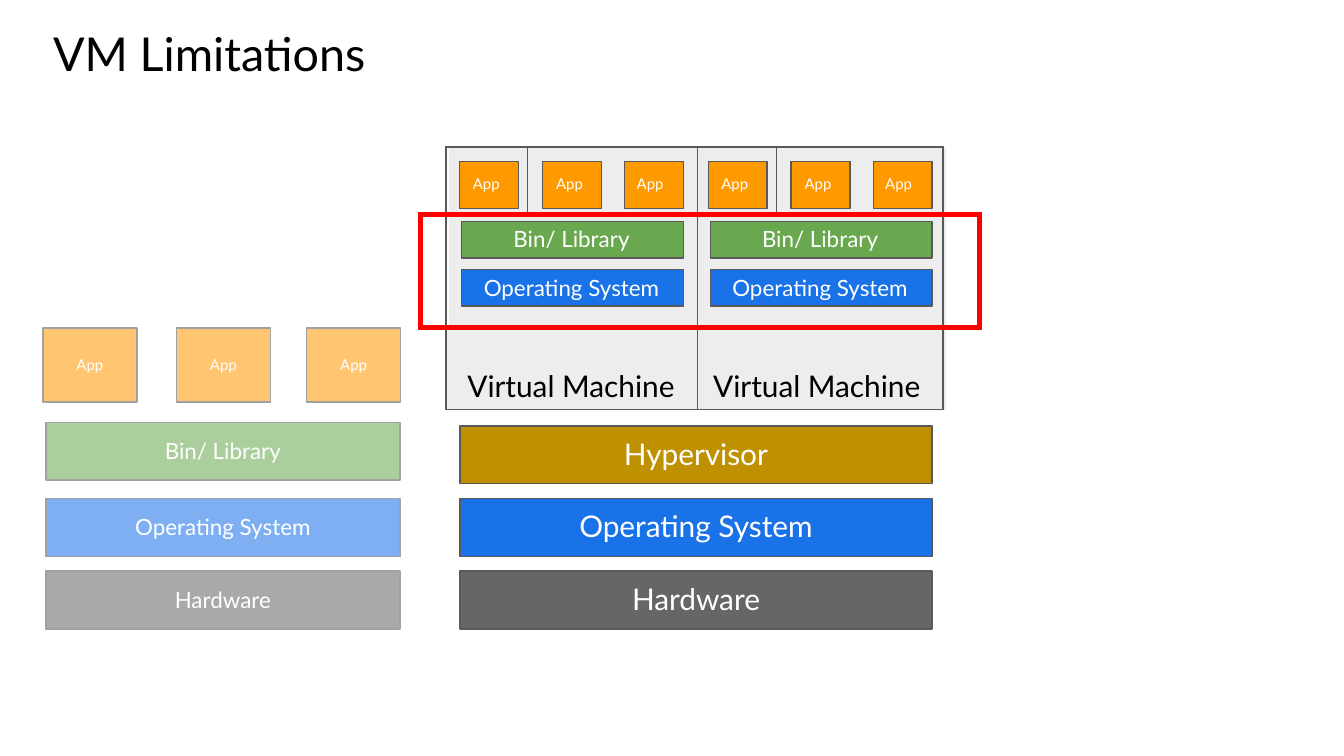
from dataclasses import dataclass
from lxml.etree import SubElement
from pptx import Presentation
from pptx.dml.color import RGBColor
from pptx.enum.shapes import MSO_SHAPE
from pptx.enum.text import MSO_ANCHOR, PP_ALIGN
from pptx.oxml.ns import qn
from pptx.util import Pt


@dataclass(frozen=True)
class Theme:
    font: str = "Lato"
    white: str = "FFFFFF"
    black: str = "000000"
    orange: str = "FF9900"
    green: str = "69A84F"
    blue: str = "1A72E8"
    gray: str = "666666"
    gold: str = "BF9000"
    pale: str = "EDEDED"
    edge: str = "595959"
    red: str = "FF0000"
    title: int = 25
    large: int = 16
    body: int = 12
    small: int = 8
    thin: float = 0.75
    thick: float = 3


T = Theme()

# Content
TITLE = "VM Limitations"
APP, LIB, OS, VM = "App", "Bin/ Library", "Operating System", "Virtual Machine"
HOST = [(LIB, T.green, 226.3), (OS, T.blue, 267.1), ("Hardware", T.gray, 306)]
BASE = [("Hypervisor", T.gold, 228.2), (OS, T.blue, 267.1), ("Hardware", T.gray, 306)]
APPS = [23, 94.5, 164.3]  # left edges of the host apps
TILES = [246.2, 290.6, 334.7]  # left edges of the apps in the first VM
STEP = 133.2  # from one VM to the next

# Table grid
COLS = [13.7, 43.9, 43.9, 46.8, 42.5, 43.9, 45.4, 19.4]
ROWS = [36, 60.5, 44]
INDENT = [14.4, 15.1, 14.4, 13, 15.1, 14.4]
STARTS = {1: 11.5, 4: 8.6}  # first column of each VM, indent of its name


def color(code):
    return RGBColor.from_string(code)


def write(frame, lines, size, ink=T.white, align=PP_ALIGN.CENTER, gap=0):
    for i, line in enumerate(lines):
        para = frame.paragraphs[0] if i == 0 else frame.add_paragraph()
        para.alignment = align
        para.space_before = Pt(gap if i else 0)
        run = para.add_run()
        run.text = line
        run.font.name, run.font.size = T.font, Pt(size)
        run.font.color.rgb = color(ink)


def pad(item, left=0, top=0):
    item.margin_left, item.margin_top = Pt(left), Pt(top)
    item.margin_right = item.margin_bottom = 0


def box(slide, x, y, w, h, fill, text="", size=T.body, top=0, edge=True):
    shape = slide.shapes.add_shape(MSO_SHAPE.RECTANGLE, Pt(x), Pt(y), Pt(w), Pt(h))
    shape.shadow.inherit = False
    shape.fill.solid()
    shape.fill.fore_color.rgb = color(fill)
    if edge:
        shape.line.color.rgb = color(T.edge)
        shape.line.width = Pt(T.thin)
    else:
        shape.line.fill.background()
    if text:
        frame = shape.text_frame
        frame.word_wrap = True
        frame.vertical_anchor = MSO_ANCHOR.TOP
        pad(frame, top=top)
        write(frame, [text], size)
    return shape


def upright(row, col):
    """Line on the vertical grid line before column col."""
    if row == 1 and col in (0, 8):
        return T.red, T.thick
    if col in (1, 4, 7) or (row == 0 and col in (2, 5)):
        return T.edge, T.thin
    return None


def level(row, col):
    """Line on the horizontal grid line above the given row."""
    if row in (1, 2):
        return T.red, T.thick
    return (T.edge, T.thin) if 1 <= col <= 6 else None


def border(cell, side, look):
    props = cell._tc.get_or_add_tcPr()
    line = SubElement(props, qn("a:ln" + side))
    if look:
        line.set("w", str(Pt(look[1])))
        fill = SubElement(line, qn("a:solidFill"))
        SubElement(fill, qn("a:srgbClr")).set("val", look[0])
    else:
        SubElement(line, qn("a:noFill"))


def fill_cell(cell, row, col):
    pad(cell)
    start = col in STARTS
    if row == 0 and 1 <= col <= 6:
        pad(cell, INDENT[col - 1], 15)
        write(cell.text_frame, [APP], T.small, align=PP_ALIGN.LEFT)
    elif row == 1 and start:
        pad(cell, top=6)
        write(cell.text_frame, [LIB, OS], T.body, gap=11.6)
    elif row == 2 and start:
        pad(cell, STARTS[col], 22)
        write(cell.text_frame, [VM], T.large, T.black, PP_ALIGN.LEFT)
    end = col + (3 if row and start else 1)
    border(cell, "L", upright(row, col))
    border(cell, "R", upright(row, end))
    border(cell, "T", level(row, col))
    border(cell, "B", level(row + 1, col))
    if row == 2 and start:
        cell.fill.solid()
        cell.fill.fore_color.rgb = color(T.pale)
    else:
        cell.fill.background()


def add_grid(slide):
    grid = slide.shapes.add_table(len(ROWS), len(COLS), Pt(225.2), Pt(78.8),
                                  Pt(sum(COLS)), Pt(sum(ROWS))).table
    grid.first_row = grid.horz_banding = False
    for i, w in enumerate(COLS):
        grid.columns[i].width = Pt(w)
    for i, h in enumerate(ROWS):
        grid.rows[i].height = Pt(h)
    for row in (1, 2):
        for col in STARTS:
            grid.cell(row, col).merge(grid.cell(row, col + 2))
    for row in range(len(ROWS)):
        for col in range(len(COLS)):
            fill_cell(grid.cell(row, col), row, col)


def main():
    deck = Presentation()
    deck.slide_width, deck.slide_height = Pt(720), Pt(405)
    slide = deck.slides.add_slide(deck.slide_layouts[5])

    # Title
    title = slide.shapes.title
    title.left, title.top, title.width, title.height = Pt(27.4), Pt(12.2), Pt(190), Pt(32.4)
    frame = title.text_frame
    frame.word_wrap = True
    frame.vertical_anchor = MSO_ANCHOR.TOP
    pad(frame, 1, 1.2)
    write(frame, [TITLE], T.title, T.black, PP_ALIGN.LEFT)

    # Virtual machines
    box(slide, 240.5, 79.2, 266.4, 140.4, T.pale, edge=False)
    for shift in (0, STEP):
        for x in TILES:
            box(slide, x + shift, 86.6, 31.5, 25.2, T.orange)
        for fill, y in ((T.green, 118.8), (T.blue, 144.5)):
            box(slide, 247.3 + shift, y, 118.8, 19.5, fill)

    # Plain host, faded by a white veil
    for text, fill, y in HOST:
        box(slide, 24.6, y, 189.6, 31, fill, text, top=8)
    for x in APPS:
        box(slide, x, 175.7, 50.4, 39.8, T.orange, APP, T.small, 15)
    veil = box(slide, 9.2, 158, 218, 198.6, T.white, edge=False)
    tint = veil.fill._xPr.find(qn("a:solidFill"))[0]
    SubElement(tint, qn("a:alpha")).set("val", "44000")

    # Grid with the red frame
    add_grid(slide)

    # Layers below the virtual machines
    for text, fill, y in BASE:
        box(slide, 246.4, y, 253, 31, fill, text, T.large, 5)

    deck.save("out.pptx")


if __name__ == "__main__":
    main()
